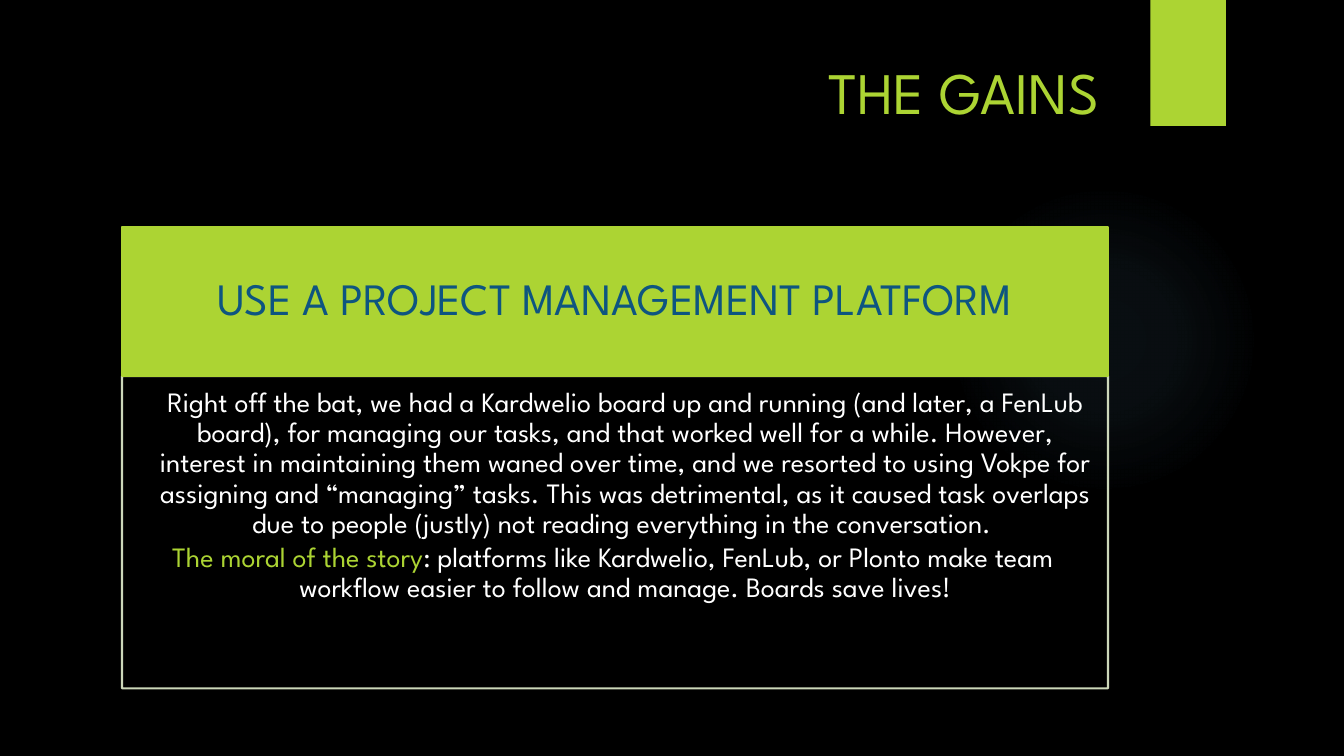
from dataclasses import dataclass

import lxml.etree
import pptx
import pptx.dml.color
import pptx.enum.shapes
import pptx.enum.text
import pptx.oxml
import pptx.oxml.ns
import pptx.util

Inches = pptx.util.Inches
Pt = pptx.util.Pt
ALIGN = pptx.enum.text.PP_ALIGN
ANCHOR = pptx.enum.text.MSO_ANCHOR
SHAPES = pptx.enum.shapes.MSO_SHAPE
qn = pptx.oxml.ns.qn


@dataclass(frozen=True)
class Theme:
    font: str = "League Spartan"
    background: str = "000000"
    accent: str = "ACD433"
    heading: str = "0E5580"
    text: str = "FFFFFF"
    panel_line: str = "E3EFCE"
    glow: str = "7AC4F0"
    title_size: int = 42
    heading_size: int = 32
    body_size: int = 20


THEME = Theme()
CARD_LEFT, CARD_WIDTH = 1.21, 9.78
HEADING_TOP, HEADING_HEIGHT = 2.25, 1.48
GLOW_STOPS = [(0, 7), (36, 6), (69, 0), (100, 0)]  # position, opacity in percent

STORY = [
    [("\tRight off the bat, we had a Kardwelio board up and running (and later, "
      "a FenLub board), for managing our tasks, and that worked well for a while. "
      "However, interest in maintaining them waned over time, and we resorted to "
      "using Vokpe for assigning and “managing” tasks. This was detrimental, as it "
      "caused task overlaps due to people (justly) not reading everything in the "
      "conversation. ", THEME.text)],
    [("The moral of the story", THEME.accent),
     (": platforms like Kardwelio, FenLub, or Plonto make team workflow easier to "
      "follow and manage. Boards save lives!", THEME.text)],
]


def rgb(colour):
    return pptx.dml.color.RGBColor.from_string(colour)


def place(shape, left, top, width, height):
    shape.left, shape.top = Inches(left), Inches(top)
    shape.width, shape.height = Inches(width), Inches(height)


def set_frame(frame, anchor, left, top, right, bottom):
    frame.word_wrap = True
    frame.auto_size = pptx.enum.text.MSO_AUTO_SIZE.NONE
    frame.vertical_anchor = anchor
    frame.margin_left, frame.margin_top = Inches(left), Inches(top)
    frame.margin_right, frame.margin_bottom = Inches(right), Inches(bottom)


def style_run(run, size, colour):
    run.font.name = THEME.font
    run.font.size = Pt(size)
    run.font.color.rgb = rgb(colour)


def add_block(slide, preset, left, top, width, height, colour):
    block = slide.shapes.add_shape(
        preset, Inches(left), Inches(top), Inches(width), Inches(height))
    block.shadow.inherit = False
    block.fill.solid()
    block.fill.fore_color.rgb = rgb(colour)
    block.line.fill.background()
    return block


def add_glow(slide):
    glow = add_block(slide, SHAPES.OVAL, 9.41, 1.83, 3.08, 3.08, THEME.glow)
    stops = "".join(
        f'<a:gs pos="{position * 1000}"><a:srgbClr val="{THEME.glow}">'
        f'<a:alpha val="{opacity * 1000}"/></a:srgbClr></a:gs>'
        for position, opacity in GLOW_STOPS)
    gradient = pptx.oxml.parse_xml(
        f'<a:gradFill {pptx.oxml.ns.nsdecls("a")} rotWithShape="1">'
        f'<a:gsLst>{stops}</a:gsLst><a:path path="circle">'
        '<a:fillToRect l="50000" t="50000" r="50000" b="50000"/></a:path></a:gradFill>')
    properties = glow.element.spPr
    properties.replace(properties.find(qn("a:solidFill")), gradient)
    # Behind the placeholders
    slide.shapes.element.insert(2, glow.element)


def fill_title(title):
    place(title, 0.71, 0.5, 10.29, 1.53)
    set_frame(title.text_frame, ANCHOR.TOP, 0.1, 0.05, 0.1, 0.05)
    title.text_frame.text = "THE GAINS"
    paragraph = title.text_frame.paragraphs[0]
    paragraph.alignment = ALIGN.RIGHT
    style_run(paragraph.runs[0], THEME.title_size, THEME.accent)


def add_heading(slide):
    heading = add_block(slide, SHAPES.RECTANGLE, CARD_LEFT, HEADING_TOP,
                        CARD_WIDTH, HEADING_HEIGHT, THEME.accent)
    heading.line.color.rgb = rgb(THEME.accent)
    heading.line.width = Pt(1.5)
    set_frame(heading.text_frame, ANCHOR.MIDDLE, 0.25, 0.14, 0.25, 0.14)
    heading.text_frame.text = "USE A PROJECT MANAGEMENT PLATFORM"
    paragraph = heading.text_frame.paragraphs[0]
    paragraph.alignment = ALIGN.CENTER
    paragraph.line_spacing = 0.9
    style_run(paragraph.runs[0], THEME.heading_size, THEME.heading)


def fill_story(story):
    place(story, CARD_LEFT, HEADING_TOP + HEADING_HEIGHT, CARD_WIDTH, 3.1)
    story.line.color.rgb = rgb(THEME.panel_line)
    story.line.width = Pt(1.5)
    line_colour = story.line._ln.find(".//" + qn("a:srgbClr"))
    lxml.etree.SubElement(line_colour, qn("a:alpha")).set("val", "90000")
    frame = story.text_frame
    set_frame(frame, ANCHOR.TOP, 0.12, 0.12, 0.16, 0.17)
    for index, parts in enumerate(STORY):
        paragraph = frame.add_paragraph() if index else frame.paragraphs[0]
        paragraph.level = 1
        paragraph.alignment = ALIGN.CENTER
        paragraph.line_spacing = 0.9
        paragraph.space_before = Pt(0)
        paragraph.space_after = Pt(3)
        # Hanging indent without a bullet
        properties = paragraph._p.get_or_add_pPr()
        properties.set("marL", str(Inches(0.25)))
        properties.set("indent", str(Inches(-0.25)))
        lxml.etree.SubElement(properties, qn("a:buNone"))
        for wording, colour in parts:
            run = paragraph.add_run()
            run.text = wording
            style_run(run, THEME.body_size, colour)


def main():
    deck = pptx.Presentation()
    deck.slide_width, deck.slide_height = Inches(13.33), Inches(7.5)
    slide = deck.slides.add_slide(deck.slide_layouts[1])
    slide.background.fill.solid()
    slide.background.fill.fore_color.rgb = rgb(THEME.background)

    # Backdrop
    add_glow(slide)
    add_block(slide, SHAPES.RECTANGLE, 11.41, 0, 0.75, 1.25, THEME.accent)

    # Content
    fill_title(slide.shapes.title)
    add_heading(slide)
    fill_story(slide.placeholders[1])

    deck.save("out.pptx")


if __name__ == "__main__":
    main()
